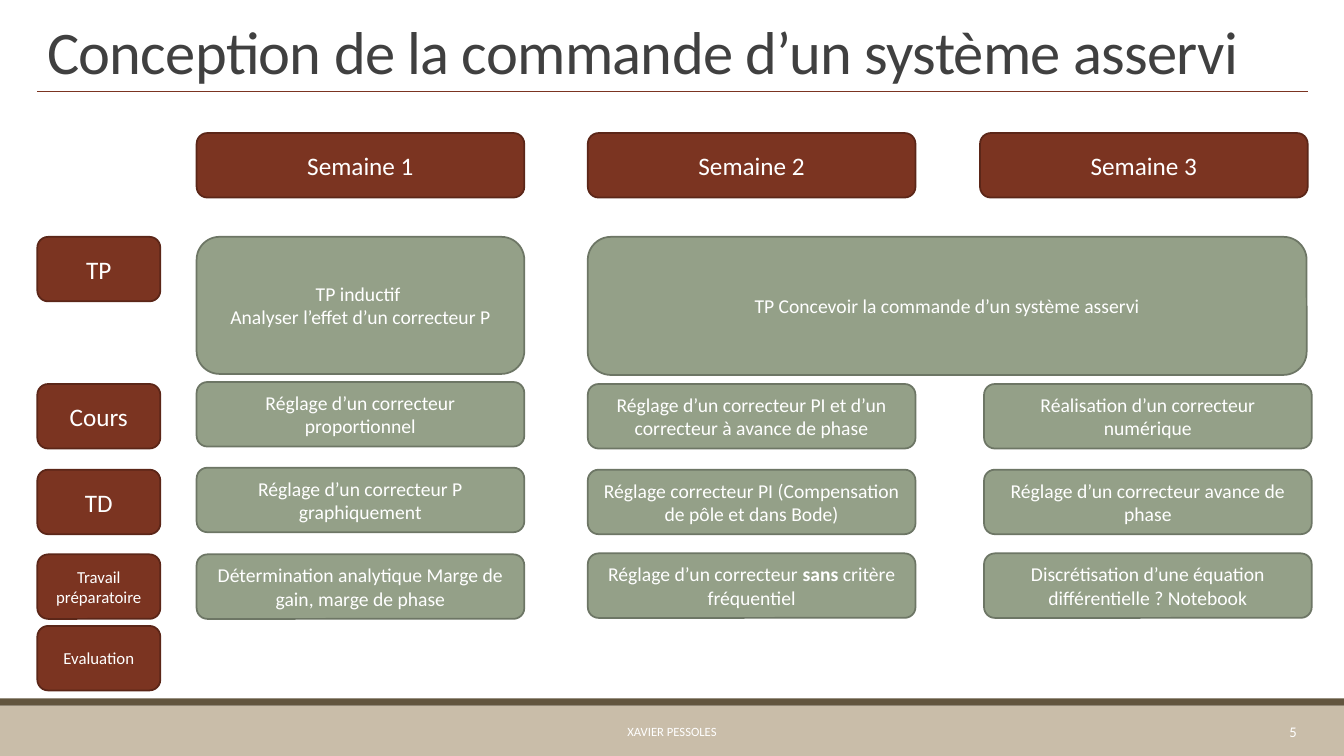
from lxml.etree import SubElement
from pptx import Presentation
from pptx.dml.color import RGBColor
from pptx.enum.shapes import MSO_CONNECTOR, MSO_SHAPE
from pptx.enum.text import MSO_ANCHOR, PP_ALIGN
from pptx.oxml.ns import qn
from pptx.util import Inches, Pt

BROWN, BROWN_EDGE = "7B3421", "5B2618"
GREEN, GREEN_EDGE = "94A088", "6D7665"
WHITE = "FFFFFF"


def add_box(at, fill=None, edge=None, kind=MSO_SHAPE.ROUNDED_RECTANGLE):
    """Add a filled shape, or a text box when no fill is given."""
    box = [Inches(v) for v in at]
    if fill is None:
        return s.shapes.add_textbox(*box)
    sp = s.shapes.add_shape(kind, *box)
    sp.shadow.inherit = False
    sp.fill.solid()
    sp.fill.fore_color.rgb = RGBColor.from_string(fill)
    if edge:
        sp.line.color.rgb = RGBColor.from_string(edge)
        sp.line.width = Pt(1.25)
    else:
        sp.line.fill.background()
    return sp


def write(sp, text, size, color=WHITE, align=PP_ALIGN.CENTER, anchor=MSO_ANCHOR.MIDDLE):
    """Write text: newlines split paragraphs, asterisks enclose bold runs."""
    tf = sp.text_frame
    tf.word_wrap = True
    tf.vertical_anchor = anchor
    for i, line in enumerate(text.split("\n")):
        p = tf.add_paragraph() if i else tf.paragraphs[0]
        p.alignment = align
        for j, part in enumerate(line.split("*")):
            r = p.add_run()
            r.text = part
            r.font.name = "Calibri"
            r.font.size = Pt(size)
            r.font.bold = j % 2 == 1
            r.font.color.rgb = RGBColor.from_string(color)


prs = Presentation()
prs.slide_width, prs.slide_height = Inches(13.33), Inches(7.5)
s = prs.slides.add_slide(prs.slide_layouts[6])

# Footer band and title
add_box((0, 7, 13.33, 0.5), "C9BDA9", kind=MSO_SHAPE.RECTANGLE)
add_box((0, 6.93, 13.33, 0.07), "62553E", kind=MSO_SHAPE.RECTANGLE)
rule = s.shapes.add_connector(
    MSO_CONNECTOR.STRAIGHT, Inches(0.37), Inches(0.91), Inches(12.97), Inches(0.91))
rule.line.color.rgb = RGBColor.from_string(BROWN)
rule.line.width = Pt(0.5)
SubElement(rule._element.spPr, qn("a:effectLst"))

title = add_box((0.37, 0.04, 12.6, 0.87))
write(title, "Conception de la commande d’un système asservi", 43.2, "404040",
      PP_ALIGN.LEFT, MSO_ANCHOR.BOTTOM)
p = title.text_frame.paragraphs[0]
p.line_spacing = 0.85
p.runs[0].font._element.set("spc", "-50")
write(add_box((2.73, 7.06, 7.87, 0.4)), "XAVIER PESSOLES", 9)
write(add_box((11.39, 7.06, 1.57, 0.4)), "5", 10.5, align=PP_ALIGN.RIGHT)

# Week headers
WEEK_W, ROW_H = 3.25, 0.64
for week, left in enumerate((1.95, 5.83, 9.72), 1):
    write(add_box((left, 1.32, WEEK_W, ROW_H), BROWN, BROWN_EDGE), f"Semaine {week}", 18)

# Row labels
labels = [("TP", 2.35, 18), ("Cours", 3.81, 18), ("TD", 4.66, 18),
          ("Travail préparatoire", 5.5, 12), ("Evaluation", 6.21, 12)]
for label, top, size in labels:
    write(add_box((0.37, top, 1.22, ROW_H), BROWN, BROWN_EDGE), label, size)

# Practical work spans weeks 2 and 3
write(add_box((1.95, 2.35, WEEK_W, 1.36), GREEN, GREEN_EDGE),
      "TP inductif \nAnalyser l’effet d’un correcteur P", 14)
write(add_box((5.83, 2.35, 7.13, 1.37), GREEN, GREEN_EDGE),
      "TP Concevoir la commande d’un système asservi", 14)

# Activities by week: left edge, row tops, texts for Cours, TD, Travail préparatoire
activities = [
    (1.95, (3.79, 4.64, 5.5), (
        "Réglage d’un correcteur proportionnel",
        "Réglage d’un correcteur P graphiquement",
        "Détermination analytique Marge de gain, marge de phase")),
    (5.83, (3.81, 4.66, 5.49), (
        "Réglage d’un correcteur PI et d’un correcteur à avance de phase",
        "Réglage correcteur PI (Compensation de pôle et dans Bode)",
        "Réglage d’un correcteur *sans *critère fréquentiel")),
    (9.76, (3.81, 4.66, 5.49), (
        "Réalisation d’un correcteur numérique",
        "Réglage d’un correcteur avance de phase",
        "Discrétisation d’une équation différentielle ? Notebook")),
]
for left, tops, texts in activities:
    for top, text in zip(tops, texts):
        write(add_box((left, top, WEEK_W, ROW_H), GREEN, GREEN_EDGE), text, 14)

prs.save("out.pptx")
